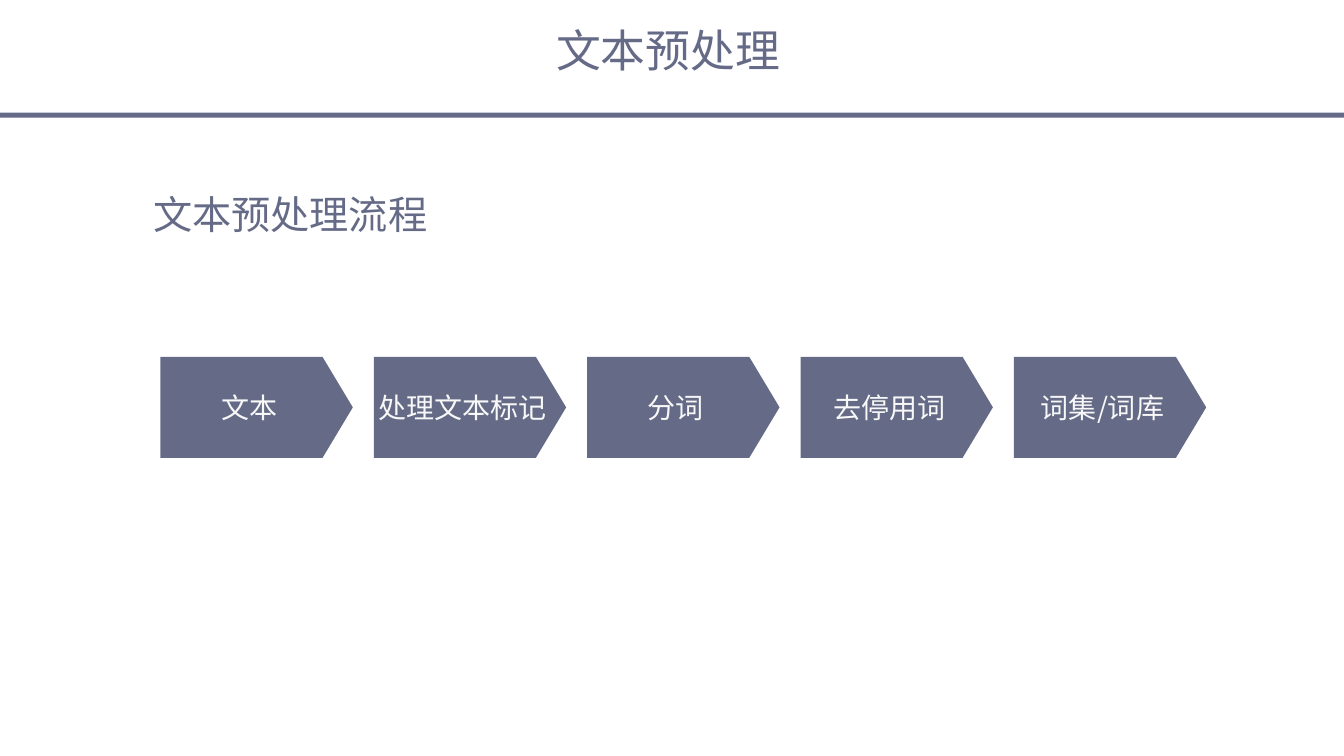
import dataclasses

import pptx
import pptx.dml.color
import pptx.enum.shapes
import pptx.enum.text
import pptx.oxml
import pptx.oxml.ns
import pptx.util

PX = 7620


@dataclasses.dataclass(frozen=True)
class Theme:
    slate: str = "656B87"
    pale: str = "F8F8F8"
    white: str = "FFFFFF"
    font: str = "Noto Sans CJK SC"
    title_size: int = 32
    heading_size: int = 28
    step_size: int = 20


class SlideBuilder:
    def __init__(self, slide, theme):
        self.slide = slide
        self.theme = theme

    def background(self):
        fill = self.slide.background.fill
        fill.solid()
        fill.fore_color.rgb = pptx.dml.color.RGBColor.from_string(self.theme.white)

    def block(self, kind, left, top, width, height):
        shape = self.slide.shapes.add_shape(
            kind, left * PX, top * PX, width * PX, height * PX
        )
        shape.shadow.inherit = False
        shape.fill.solid()
        shape.fill.fore_color.rgb = pptx.dml.color.RGBColor.from_string(self.theme.slate)
        shape.line.fill.background()
        return shape

    def set_text(self, text_frame, text, size, color):
        text_frame.vertical_anchor = pptx.enum.text.MSO_ANCHOR.MIDDLE
        paragraph = text_frame.paragraphs[0]
        paragraph.text = text
        paragraph.alignment = pptx.enum.text.PP_ALIGN.CENTER
        font = paragraph.font
        font.size = pptx.util.Pt(size)
        font.color.rgb = pptx.dml.color.RGBColor.from_string(color)
        font.name = self.theme.font
        latin = paragraph._p.find(".//" + pptx.oxml.ns.qn("a:latin"))
        east_asian = pptx.oxml.parse_xml(
            f'<a:ea {pptx.oxml.ns.nsdecls("a")} typeface="{self.theme.font}"/>'
        )
        latin.addnext(east_asian)

    def label(self, text, size, left, top, width, height):
        box = self.slide.shapes.add_textbox(
            left * PX, top * PX, width * PX, height * PX
        )
        text_frame = box.text_frame
        text_frame.word_wrap = True
        text_frame.auto_size = pptx.enum.text.MSO_AUTO_SIZE.SHAPE_TO_FIT_TEXT
        text_frame.margin_left = text_frame.margin_right = 0
        text_frame.margin_top = text_frame.margin_bottom = 0
        self.set_text(text_frame, text, size, self.theme.slate)

    def rule(self, left, top, width, height):
        self.block(pptx.enum.shapes.MSO_SHAPE.RECTANGLE, left, top, width, height)

    def step(self, text, left, top, width, height):
        shape = self.block(
            pptx.enum.shapes.MSO_SHAPE.PENTAGON, left, top, width, height
        )
        shape.adjustments[0] = 0.3
        shape.text_frame.word_wrap = False
        self.set_text(shape.text_frame, text, self.theme.step_size, self.theme.pale)


def main():
    theme = Theme()
    presentation = pptx.Presentation()
    presentation.slide_width = 1600 * PX
    presentation.slide_height = 900 * PX
    slide = presentation.slides.add_slide(presentation.slide_layouts[6])
    builder = SlideBuilder(slide, theme)

    builder.background()
    builder.rule(0, 134, 1600, 6)
    builder.label("文本预处理", theme.title_size, 582, 26, 427, 65)

    steps = ["文本", "处理文本标记", "分词", "去停用词", "词集/词库"]
    step_width, step_gap = 229, 25
    for index, text in enumerate(steps):
        left = 191 + index * (step_width + step_gap)
        builder.step(text, left, 425, step_width, 120)

    builder.label("文本预处理流程", theme.heading_size, 132, 226, 427, 56)
    presentation.save("out.pptx")


if __name__ == "__main__":
    main()
